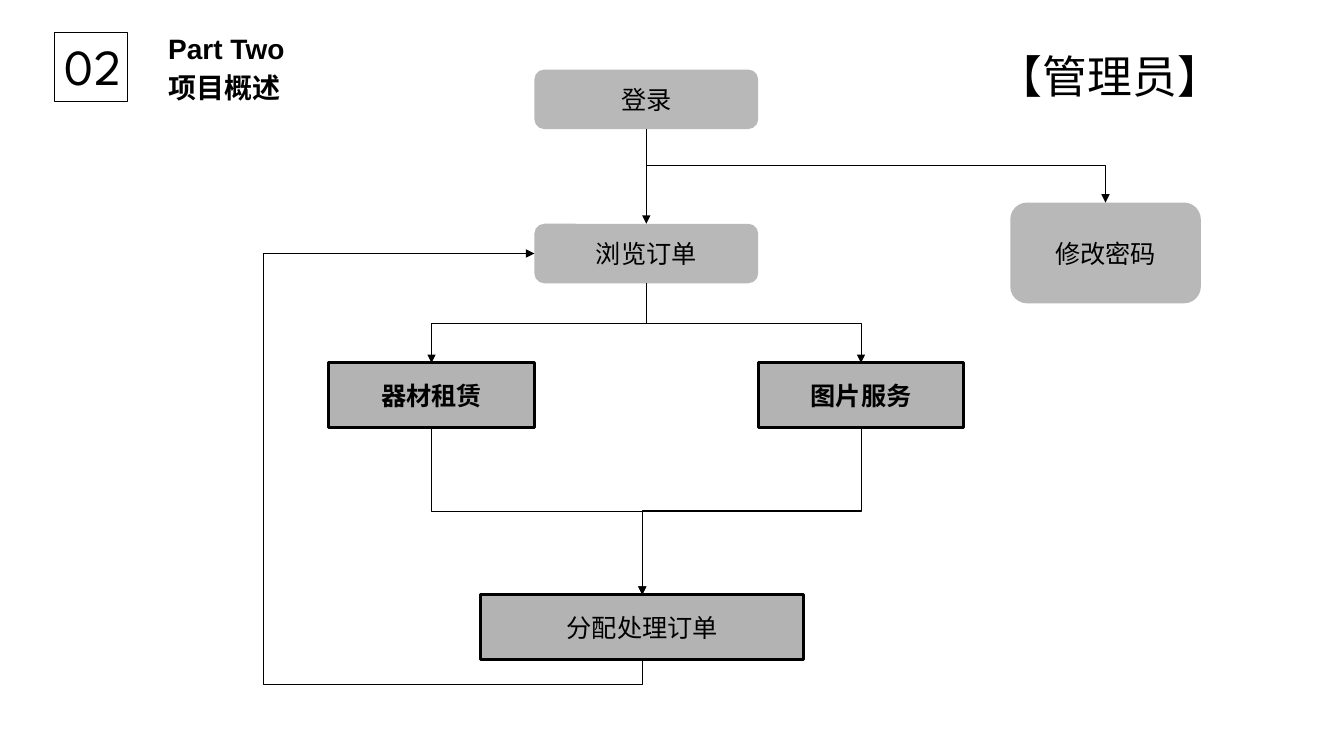
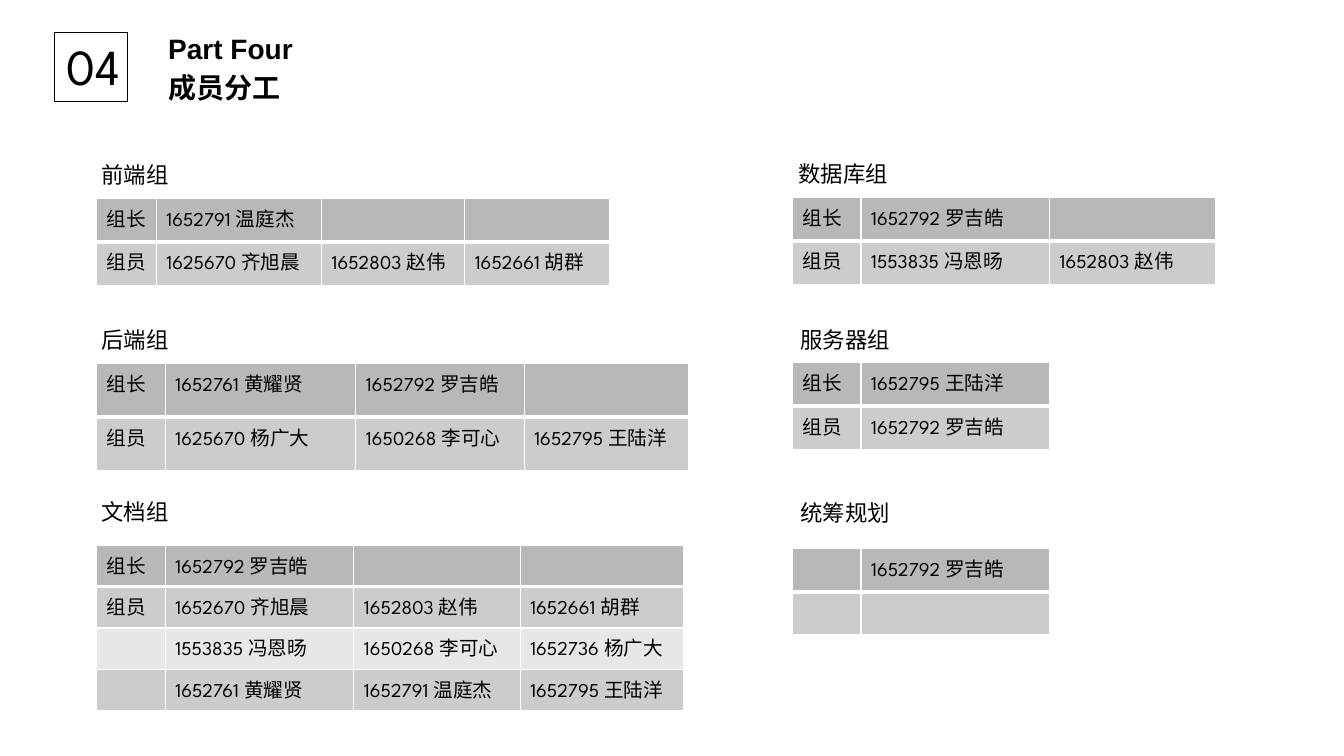
from dataclasses import dataclass
from typing import Any

from lxml.etree import SubElement
from pptx import Presentation
from pptx.dml.color import RGBColor
from pptx.enum.shapes import MSO_CONNECTOR as Connector, MSO_SHAPE as Preset
from pptx.enum.text import MSO_ANCHOR as Anchor, PP_ALIGN as Align
from pptx.oxml.ns import qn
from pptx.util import Inches, Pt

COLORS = {
    "ink": "000000",
    "paper": "FFFFFF",
    "step": "B8B8B8",
    "task": "B3B3B3",
    "band_dark": "CCCCCC",
    "band_light": "E7E7E7",
}
BODY_FONT = "League Spartan"
TITLE_FONT = "Arial"
CJK_FONT = "Noto Sans CJK SC"

Point = tuple[float, float]


@dataclass(frozen=True)
class Step:
    """A box of the flow chart; tasks are outlined, other steps are rounded."""
    text: str
    left: float
    top: float
    width: float
    height: float
    task: bool = False
    bold: bool = False

    @property
    def top_mid(self) -> Point:
        return self.left + self.width / 2, self.top

    @property
    def bottom_mid(self) -> Point:
        return self.left + self.width / 2, self.top + self.height

    @property
    def left_mid(self) -> Point:
        return self.left, self.top + self.height / 2


@dataclass(frozen=True)
class Team:
    name: str
    name_at: Point
    table_at: Point
    columns: tuple[float, ...]
    row_height: float
    rows: tuple[tuple[str, ...], ...]


LOGIN = Step("登录", 5.3, 0.69, 2.22, 0.59)
BROWSE = Step("浏览订单", 5.3, 2.22, 2.22, 0.59)
PASSWORD = Step("修改密码", 10.02, 2.01, 1.89, 1)
RENTAL = Step("器材租赁", 3.26, 3.6, 2.04, 0.64, task=True, bold=True)
PICTURES = Step("图片服务", 7.52, 3.6, 2.04, 0.64, task=True, bold=True)
ASSIGN = Step("分配处理订单", 4.77, 5.9, 3.2, 0.64, task=True)
STEPS = (LOGIN, BROWSE, PASSWORD, RENTAL, PICTURES, ASSIGN)
BRANCHES = ((BROWSE, RENTAL), (BROWSE, PICTURES), (LOGIN, PASSWORD),
            (RENTAL, ASSIGN), (PICTURES, ASSIGN))

TEAMS = (
    Team("前端组", (0.91, 1.47), (0.96, 1.97), (0.59, 1.64, 1.42, 1.44), 0.43, (
        ("组长", "1652791 温庭杰", "", ""),
        ("组员", "1625670 齐旭晨", "1652803 赵伟", "1652661 胡群"))),
    Team("后端组", (0.91, 3.11), (0.96, 3.61), (0.68, 1.89, 1.67, 1.63), 0.53, (
        ("组长", "1652761 黄耀贤", "1652792 罗吉皓", ""),
        ("组员", "1625670 杨广大", "1650268 李可心", "1652795 王陆洋"))),
    Team("文档组", (0.91, 4.81), (0.96, 5.41), (0.68, 1.87, 1.65, 1.62), 0.41, (
        ("组长", "1652792 罗吉皓", "", ""),
        ("组员", "1652670 齐旭晨", "1652803 赵伟", "1652661 胡群"),
        ("", "1553835 冯恩旸", "1650268 李可心", "1652736 杨广大"),
        ("", "1652761 黄耀贤", "1652791 温庭杰", "1652795 王陆洋"))),
    Team("数据库组", (7.82, 1.46), (7.86, 1.96), (0.68, 1.87, 1.65), 0.43, (
        ("组长", "1652792 罗吉皓", ""),
        ("组员", "1553835 冯恩旸", "1652803 赵伟"))),
    Team("服务器组", (7.84, 3.11), (7.86, 3.6), (0.68, 1.87), 0.43, (
        ("组长", "1652795 王陆洋"),
        ("组员", "1652792 罗吉皓"))),
    Team("统筹规划", (7.84, 4.82), (7.86, 5.44), (0.68, 1.87), 0.43, (
        ("", "1652792 罗吉皓"),
        ("", ""))),
)


def color(name: str) -> RGBColor:
    return RGBColor.from_string(COLORS[name])


def set_font(para: Any, size: float, name: str = BODY_FONT, bold: bool = False) -> None:
    font = para.font
    font.size, font.name, font.bold = Pt(size), name, bold
    font.color.rgb = color("ink")
    defaults = para._p.get_or_add_pPr().find(qn("a:defRPr"))
    SubElement(defaults, qn("a:ea")).set("typeface", CJK_FONT)


def add_text(page: Any, at: tuple[float, float, float, float], lines: tuple[str, ...],
             size: float, name: str = BODY_FONT, bold: bool = False) -> Any:
    """Add a text box with one paragraph per line and return its frame."""
    frame = page.shapes.add_textbox(*map(Inches, at)).text_frame
    frame.word_wrap = True
    frame.text = "\n".join(lines)
    for para in frame.paragraphs:
        set_font(para, size, name, bold)
    return frame


def add_header(page: Any, number: str, part: str, title: str) -> None:
    square = page.shapes.add_shape(Preset.RECTANGLE, *map(Inches, (0.54, 0.32, 0.72, 0.69)))
    square.shadow.inherit = False
    square.fill.background()
    square.line.color.rgb = color("ink")
    square.line.width = Pt(0.75)
    heading = add_text(page, (1.57, 0.26, 4.14, 0.82), (part, title), 20, TITLE_FONT, True)
    heading.paragraphs[1].space_before = Pt(4)
    numeral = add_text(page, (0.49, 0.3, 0.87, 0.75), (number,), 36)
    numeral.paragraphs[0].alignment = Align.CENTER


def add_step(page: Any, step: Step) -> None:
    preset = Preset.RECTANGLE if step.task else Preset.ROUNDED_RECTANGLE
    box = page.shapes.add_shape(
        preset, *map(Inches, (step.left, step.top, step.width, step.height)))
    box.shadow.inherit = False
    box.fill.solid()
    box.fill.fore_color.rgb = color("task" if step.task else "step")
    if step.task:
        box.line.color.rgb = color("ink")
        box.line.width = Pt(2)
    else:
        box.line.fill.background()
    frame = box.text_frame
    frame.vertical_anchor = Anchor.MIDDLE
    frame.text = step.text
    para = frame.paragraphs[0]
    para.alignment = Align.CENTER
    set_font(para, 18, bold=step.bold)


def add_arrow(page: Any, kind: Connector, start: Point, end: Point) -> Any:
    arrow = page.shapes.add_connector(kind, *map(Inches, start + end))
    arrow.line.color.rgb = color("ink")
    arrow.line.width = Pt(0.75)
    properties = arrow.element.spPr
    SubElement(properties.find(qn("a:ln")), qn("a:tailEnd")).set("type", "triangle")
    SubElement(properties, qn("a:effectLst"))
    return arrow


def add_elbow(page: Any, start: Point, end: Point) -> Any:
    """Add a bent arrow that leaves its start vertically, as a turned elbow."""
    run, drop = end[0] - start[0], end[1] - start[1]
    middle_x, middle_y = (start[0] + end[0]) / 2, (start[1] + end[1]) / 2
    side = 1 if run > 0 else -1
    half_x, half_y = side * drop / 2, abs(run) / 2
    arrow = add_arrow(page, Connector.ELBOW, (middle_x + half_x, middle_y - half_y),
                      (middle_x - half_x, middle_y + half_y))
    arrow.element.spPr.find(qn("a:xfrm")).set("rot", str((270 if run > 0 else 90) * 60000))
    return arrow


def add_return_arrow(page: Any, start: Point, end: Point) -> None:
    """Lead below the start, out to the left and back up into the end."""
    geometry = add_elbow(page, start, end).element.spPr.find(qn("a:prstGeom"))
    geometry.set("prst", "bentConnector4")
    guides = geometry.find(qn("a:avLst"))
    if guides is None:
        guides = SubElement(geometry, qn("a:avLst"))
    for name, value in (("adj1", -6200), ("adj2", 351400)):
        guide = SubElement(guides, qn("a:gd"))
        guide.set("name", name)
        guide.set("fmla", f"val {value}")


def set_borders(cell: Any, top: float, bottom: float) -> None:
    properties = cell._tc.get_or_add_tcPr()
    for edge, width in (("L", 1), ("R", 1), ("T", top), ("B", bottom)):
        line = SubElement(properties, qn(f"a:ln{edge}"))
        line.set("w", str(Pt(width)))
        fill = SubElement(line, qn("a:solidFill"))
        SubElement(fill, qn("a:srgbClr")).set("val", COLORS["paper"])


def add_team(page: Any, team: Team) -> None:
    heading = add_text(page, (*team.name_at, 1.51, 0.42), (team.name,), 16, CJK_FONT)
    heading.paragraphs[0].line_spacing = 1.3
    heading.paragraphs[0].space_before = Pt(6)
    size = sum(team.columns), team.row_height * len(team.rows)
    table = page.shapes.add_table(
        len(team.rows), len(team.columns), *map(Inches, team.table_at + size)).table
    for column, width in zip(table.columns, team.columns):
        column.width = Inches(width)
    for index, texts in enumerate(team.rows):
        table.rows[index].height = Inches(team.row_height)
        shade = "step" if index == 0 else ("band_light", "band_dark")[index % 2]
        for cell, text in zip(table.rows[index].cells, texts):
            set_borders(cell, 3 if index == 1 else 1, 3 if index == 0 else 1)
            cell.fill.solid()
            cell.fill.fore_color.rgb = color(shade)
            cell.text = text
            set_font(cell.text_frame.paragraphs[0], 14)


def build_admin_flow(page: Any) -> None:
    add_header(page, "02", "Part Two", "项目概述")
    for step in STEPS:
        add_step(page, step)
    add_arrow(page, Connector.STRAIGHT, LOGIN.bottom_mid, BROWSE.top_mid)
    for source, target in BRANCHES:
        add_elbow(page, source.bottom_mid, target.top_mid)
    add_return_arrow(page, ASSIGN.bottom_mid, BROWSE.left_mid)
    add_text(page, (9.8, 0.43, 3.26, 0.64), ("【管理员】",), 32)


def build_teams(page: Any) -> None:
    add_header(page, "04", "Part Four", "成员分工")
    for team in TEAMS:
        add_team(page, team)


def main() -> None:
    deck = Presentation()
    deck.slide_width, deck.slide_height = Inches(13.33), Inches(7.5)
    blank = deck.slide_layouts[6]
    for build in (build_admin_flow, build_teams):
        build(deck.slides.add_slide(blank))
    deck.save("out.pptx")


if __name__ == "__main__":
    main()
